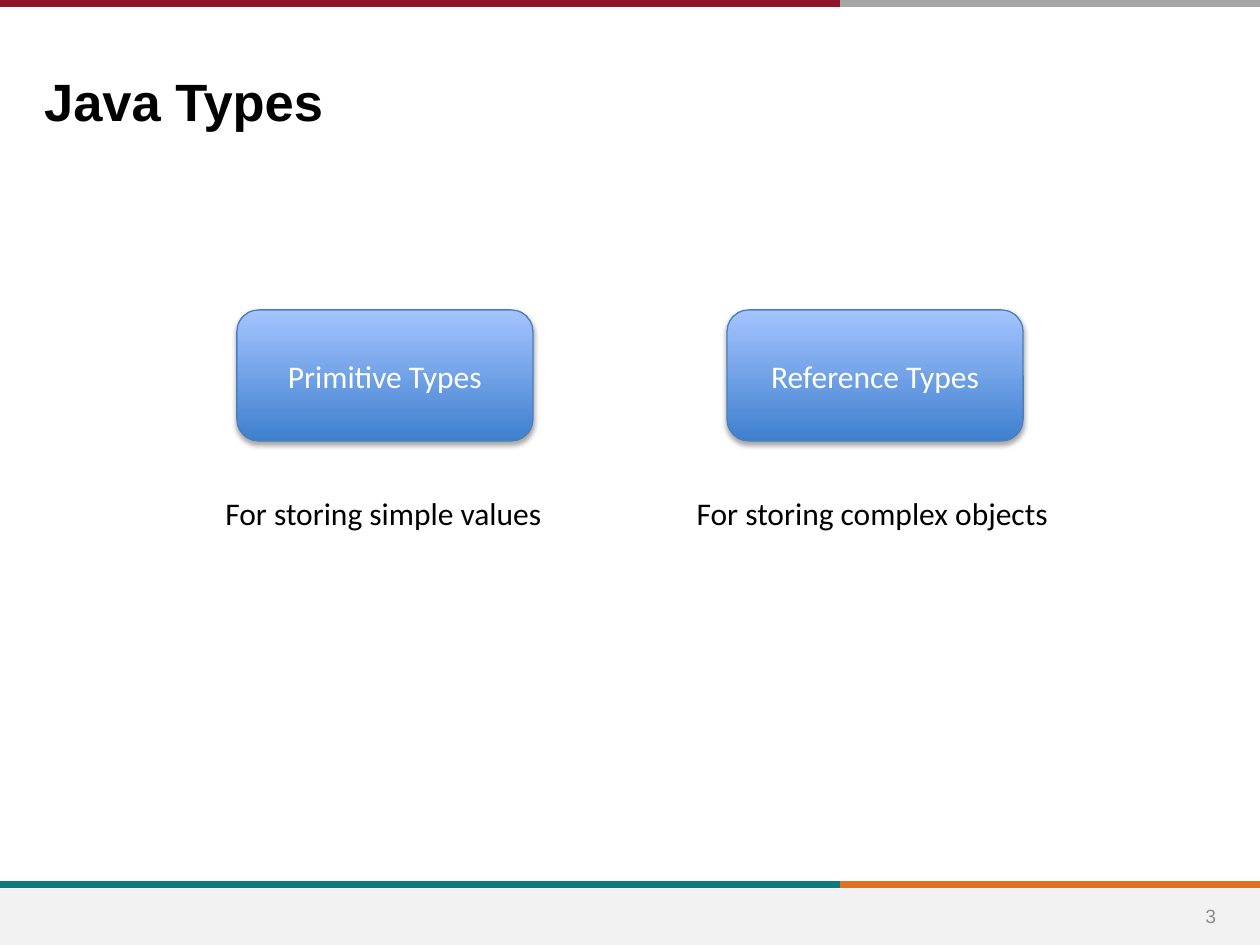
from lxml import etree
from pptx import Presentation
from pptx.dml.color import RGBColor
from pptx.enum.shapes import MSO_CONNECTOR, MSO_SHAPE
from pptx.enum.text import MSO_ANCHOR as Anchor, MSO_AUTO_SIZE as AutoSize, PP_ALIGN as Align
from pptx.oxml import parse_xml
from pptx.oxml.ns import nsdecls, qn
from pptx.util import Inches, Pt

BLACK = RGBColor(0x00, 0x00, 0x00)
WHITE = RGBColor(0xFF, 0xFF, 0xFF)
CRIMSON = RGBColor(0x90, 0x15, 0x2A)
GRAY = RGBColor(0xA6, 0xA6, 0xA6)
TEAL = RGBColor(0x0F, 0x78, 0x7D)
ORANGE = RGBColor(0xDF, 0x70, 0x23)
FOOTER_FILL = RGBColor(0xF2, 0xF2, 0xF2)
NUMBER_GRAY = RGBColor(0x8C, 0x8C, 0x8C)
BOX_DARK = RGBColor(0x3F, 0x80, 0xCE)
BOX_LIGHT = RGBColor(0xA4, 0xC4, 0xFF)
BOX_LINE = RGBColor(0x4B, 0x7E, 0xBC)

presentation = Presentation()
presentation.slide_width = Inches(10)
presentation.slide_height = Inches(7.5)
WIDTH = presentation.slide_width
slide = presentation.slides.add_slide(presentation.slide_layouts[5])


def write_text(shape, text, size, color, font="Calibri", bold=False,
               align=Align.CENTER, anchor=Anchor.MIDDLE, wrap=True):
    frame = shape.text_frame
    frame.word_wrap = wrap
    frame.auto_size = AutoSize.NONE if wrap else AutoSize.SHAPE_TO_FIT_TEXT
    frame.vertical_anchor = anchor
    paragraph = frame.paragraphs[0]
    paragraph.alignment = align
    run = paragraph.add_run()
    run.text = text
    run.font.name = font
    run.font.size = Pt(size)
    run.font.bold = bold
    run.font.color.rgb = color


# Footer band
footer = slide.shapes.add_shape(MSO_SHAPE.RECTANGLE, 0, Inches(7.05), WIDTH, Inches(0.45))
footer.shadow.inherit = False
footer.fill.solid()
footer.fill.fore_color.rgb = FOOTER_FILL
footer.line.fill.background()

# Two-colour rules, split at two thirds of the width
split = WIDTH * 2 // 3
for y, left_color, right_color in [(0.03, CRIMSON, GRAY), (7.02, TEAL, ORANGE)]:
    for start, end, color in [(split, WIDTH, right_color), (0, split, left_color)]:
        rule = slide.shapes.add_connector(
            MSO_CONNECTOR.STRAIGHT, start, Inches(y), end, Inches(y))
        rule.line.color.rgb = color
        rule.line.width = Pt(4)
        etree.SubElement(rule.element.spPr, qn("a:effectLst"))

# Slide number
number = slide.shapes.add_textbox(Inches(9.35), Inches(7.07), Inches(0.52), Inches(0.4))
write_text(number, "3", 11, NUMBER_GRAY, font="Arial")

# Title
title = slide.shapes.title
title.left, title.top = Inches(0.25), Inches(0.46)
title.width, title.height = Inches(7.99), Inches(0.59)
title.text_frame.margin_top = Inches(0.09)
write_text(title, "Java Types", 30, BLACK, font="Arial", bold=True,
           align=Align.LEFT, anchor=Anchor.TOP)

# Type boxes, mirrored about the slide's centre, each with its caption
BOX_WIDTH = Inches(2.35)
BOX_INSET = Inches(1.88)
columns = [
    (BOX_INSET, "Primitive Types", 1.69, 2.74, "For storing simple values"),
    (WIDTH - BOX_INSET - BOX_WIDTH, "Reference Types", 5.43, 3.02, "For storing complex objects"),
]
for left, name, caption_left, caption_width, caption_text in columns:
    box = slide.shapes.add_shape(
        MSO_SHAPE.ROUNDED_RECTANGLE, left, Inches(2.46), BOX_WIDTH, Inches(1.04))
    box.fill.gradient()
    box.fill.gradient_angle = 90
    for stop, color in zip(box.fill.gradient_stops, (BOX_DARK, BOX_LIGHT)):
        stop.color.rgb = color
    box.line.color.rgb = BOX_LINE
    box.line.width = Pt(0.75)
    box.shadow.inherit = False
    box.element.spPr.find(qn("a:effectLst")).append(parse_xml(
        f'<a:outerShdw {nsdecls("a")} blurRad="{Pt(3.1)}" dist="{Pt(1.8)}" dir="5400000"'
        ' rotWithShape="0"><a:srgbClr val="000000"><a:alpha val="35000"/></a:srgbClr>'
        '</a:outerShdw>'))
    write_text(box, name, 18, WHITE)

    caption = slide.shapes.add_textbox(
        Inches(caption_left), Inches(3.87), Inches(caption_width), Inches(0.4))
    write_text(caption, caption_text, 18, BLACK, align=Align.LEFT,
               anchor=Anchor.TOP, wrap=False)

presentation.save("out.pptx")
